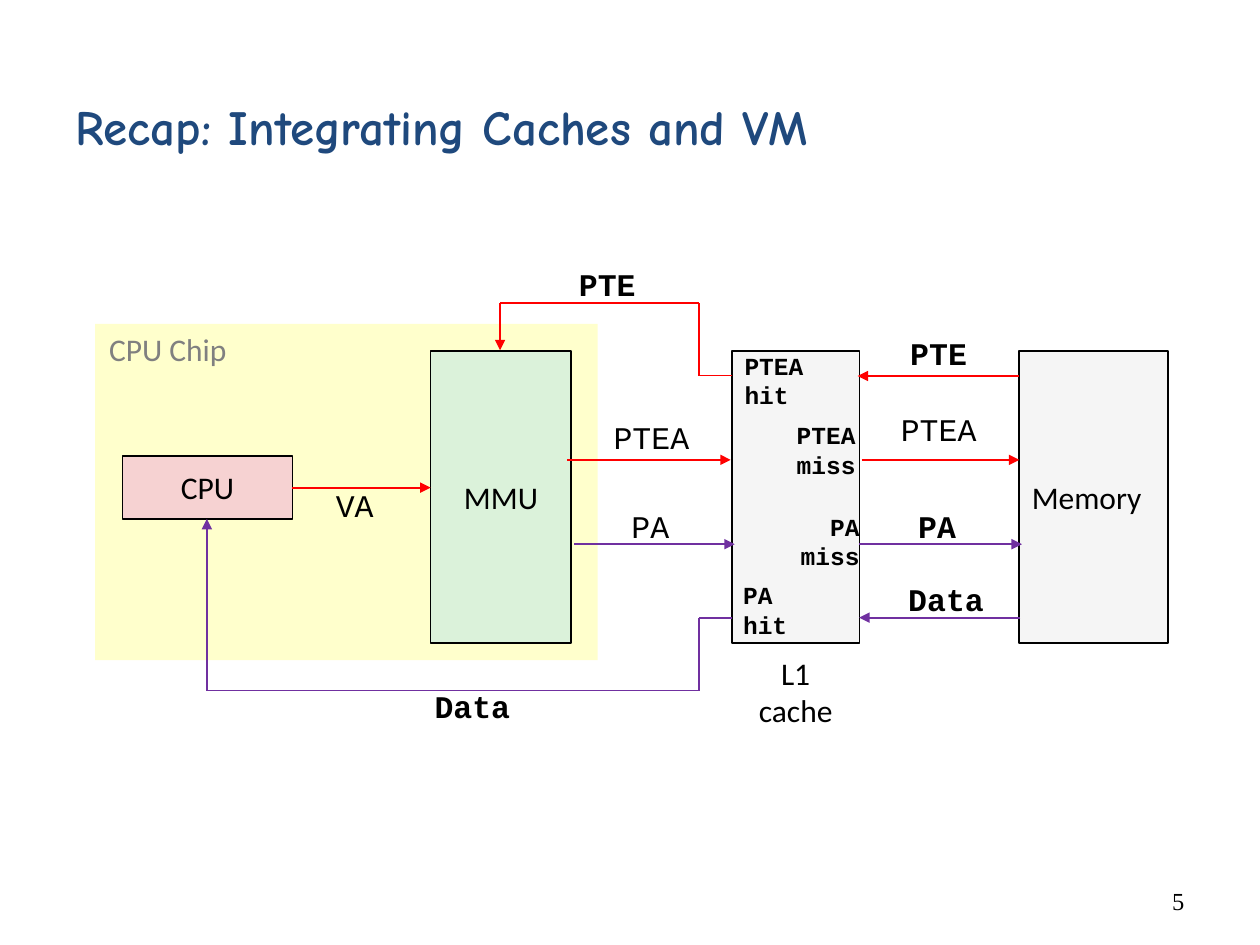
from dataclasses import dataclass
from itertools import pairwise

from lxml.etree import SubElement
from pptx import Presentation
from pptx.dml.color import RGBColor
from pptx.enum.shapes import MSO_CONNECTOR as Connector, MSO_SHAPE as Shape
from pptx.enum.text import MSO_ANCHOR as Anchor, MSO_AUTO_SIZE as AutoSize, PP_ALIGN as Align
from pptx.oxml.ns import qn
from pptx.util import Cm, Pt


@dataclass(frozen=True)
class Theme:
    ink: str = "000000"
    title: str = "1F497D"
    chip: str = "FFFFCC"
    chip_label: str = "808080"
    cpu: str = "F6D2D2"
    mmu: str = "DBF2DA"
    storage: str = "F5F5F5"
    table_walk: str = "FF0000"
    data_access: str = "7030A0"
    title_font: str = "Comic Neue"
    body_font: str = "Calibri"
    code_font: str = "Courier New"
    number_font: str = "Times New Roman"
    title_size: int = 28
    body_size: int = 18
    small_size: int = 14


@dataclass(frozen=True)
class Box:
    left: float
    top: float
    width: float
    height: float

    def inner(self, left, top, width, height):
        return Box(self.left + left, self.top + top, width, height)

    def point(self, x, y):
        return self.left + x, self.top + y

    def lengths(self):
        return [Cm(side) for side in (self.left, self.top, self.width, self.height)]


THEME = Theme()


def write(holder, text, font=THEME.body_font, size=THEME.body_size, color=THEME.ink,
          bold=False, align=Align.LEFT, anchor=Anchor.MIDDLE, wrap=False, grow=False,
          insets=(0.25, 0.13), spacing=None):
    frame = holder.text_frame
    frame.text = text
    frame.word_wrap = wrap
    frame.auto_size = AutoSize.SHAPE_TO_FIT_TEXT if grow else AutoSize.NONE
    frame.vertical_anchor = anchor
    frame.margin_left = frame.margin_right = Cm(insets[0])
    frame.margin_top = frame.margin_bottom = Cm(insets[1])
    for paragraph in frame.paragraphs:
        paragraph.alignment = align
        paragraph.line_spacing = spacing
        paragraph.font.name = font
        paragraph.font.size = Pt(size)
        paragraph.font.bold = bold
        paragraph.font.color.rgb = RGBColor.from_string(color)


def add_label(slide, box, text, **style):
    write(slide.shapes.add_textbox(*box.lengths()), text, **{"grow": True, **style})


def add_request(slide, box, text):
    add_label(slide, box, text, font=THEME.code_font, anchor=Anchor.TOP,
              insets=(0.18, 0.08), spacing=0.85)


def add_result(slide, box, text, **style):
    add_label(slide, box, text, font=THEME.code_font, bold=True, **style)


def add_block(slide, box, fill, text="", outlined=True, align=Align.CENTER):
    block = slide.shapes.add_shape(Shape.RECTANGLE, *box.lengths())
    block.shadow.inherit = False
    block.fill.solid()
    block.fill.fore_color.rgb = RGBColor.from_string(fill)
    if outlined:
        block.line.color.rgb = RGBColor.from_string(THEME.ink)
        block.line.width = Pt(1)
    else:
        block.line.fill.background()
    if text:
        write(block, text, align=align)


def add_route(slide, box, color, *stops):
    segments = list(pairwise(box.point(*stop) for stop in stops))
    for start, end in segments:
        segment = slide.shapes.add_connector(
            Connector.STRAIGHT, *(Cm(length) for length in (*start, *end)))
        segment.line.color.rgb = RGBColor.from_string(color)
        segment.line.width = Pt(1.1)
        properties = segment._element.spPr
        SubElement(properties, qn("a:effectLst"))
        if (start, end) == segments[-1]:
            SubElement(properties.find(qn("a:ln")), qn("a:tailEnd"), type="triangle")


def place_title(slide, box):
    title = slide.shapes.title
    title.left, title.top, title.width, title.height = box.lengths()
    write(title, "Recap: Integrating Caches and VM", font=THEME.title_font,
          size=THEME.title_size, color=THEME.title, bold=True, wrap=True)


def place_cpu_chip(slide, box):
    add_block(slide, box, THEME.chip, outlined=False)
    add_label(slide, box.inner(0.03, 0, 3.48, 1.12), "CPU Chip", color=THEME.chip_label,
              anchor=Anchor.TOP)
    add_block(slide, box.inner(0.55, 2.66, 3.43, 1.27), THEME.cpu, "CPU")
    add_block(slide, box.inner(6.76, 0.54, 2.84, 5.89), THEME.mmu, "MMU")
    add_route(slide, box, THEME.table_walk, (3.97, 3.3), (6.76, 3.3))
    add_request(slide, box.inner(4.67, 3.3, 1.18, 0.79), "VA")


def place_cache(slide, box):
    add_block(slide, box, THEME.storage)
    outcomes = (
        ("PTEA\nhit", 0, -0.13, 2.01, Align.LEFT),
        ("PTEA\nmiss", 1.04, 1.27, 1.7, Align.RIGHT),
        ("PA\nmiss", 1.12, 3.12, 1.7, Align.RIGHT),
        ("PA\nhit", -0.03, 4.5, 1.4, Align.LEFT),
    )
    for text, left, top, width, align in outcomes:
        add_result(slide, box.inner(left, top, width, 1.45), text,
                   size=THEME.small_size, align=align)
    add_label(slide, box.inner(0.15, 5.97, 2.26, 1.8), "L1\ncache", align=Align.CENTER)


def place_memory(slide, box):
    add_block(slide, box, THEME.storage, "Memory", align=Align.LEFT)


def place_mmu_requests(slide, box):
    add_route(slide, box, THEME.table_walk, (0, 2.2), (3.3, 2.2))
    add_request(slide, box.inner(0.76, 1.4, 1.94, 0.79), "PTEA")
    add_route(slide, box, THEME.data_access, (0.15, 3.9), (3.38, 3.9))
    add_request(slide, box.inner(1.12, 3.18, 1.18, 0.79), "PA")


def place_memory_traffic(slide, box):
    add_route(slide, box, THEME.table_walk, (3.23, 0.51), (-0.03, 0.51))
    add_result(slide, box.inner(0.78, -0.46, 1.65, 1.02), "PTE")
    add_route(slide, box, THEME.table_walk, (0.05, 2.2), (3.23, 2.2))
    add_request(slide, box.inner(0.66, 1.24, 1.94, 0.79), "PTEA")
    add_route(slide, box, THEME.data_access, (0, 3.9), (3.28, 3.9))
    add_result(slide, box.inner(0.94, 3.02, 1.3, 1.02), "PA")
    add_route(slide, box, THEME.data_access, (3.25, 5.38), (0, 5.38))
    add_result(slide, box.inner(0.74, 4.5, 2.06, 1.02), "Data")


def place_hit_returns(slide, box):
    right, bend, bottom = box.width, box.width - 0.67, box.height
    add_route(slide, box, THEME.table_walk, (right, 1.47), (bend, 1.47),
              (bend, 0), (5.91, 0), (5.91, 0.96))
    add_result(slide, box.inner(7.25, -0.89, 1.65, 1.02), "PTE")
    add_route(slide, box, THEME.data_access, (right, bottom - 1.47), (bend, bottom - 1.47),
              (bend, bottom), (0, bottom), (0, 4.36))
    add_result(slide, box.inner(4.34, bottom - 0.2, 2.06, 1.02), "Data")


def place_page_number(slide, box):
    add_label(slide, box, "5", font=THEME.number_font, size=THEME.small_size,
              align=Align.RIGHT, wrap=True, grow=False)


def main():
    deck = Presentation()
    deck.slide_width, deck.slide_height = Cm(25.4), Cm(19.05)
    slide = deck.slides.add_slide(deck.slide_layouts.get_by_name("Title Only"))
    place_title(slide, Box(1.27, 1.27, 22.43, 2.54))
    place_cpu_chip(slide, Box(1.92, 6.53, 10.13, 6.78))
    place_cache(slide, Box(14.76, 7.07, 2.57, 5.89))
    place_memory(slide, Box(20.55, 7.07, 2.99, 5.89))
    place_mmu_requests(slide, Box(11.43, 7.07, 3.3, 5.89))
    place_memory_traffic(slide, Box(17.32, 7.07, 3.23, 5.89))
    place_hit_returns(slide, Box(4.17, 6.1, 10.59, 7.82))
    place_page_number(slide, Box(18.21, 17.65, 5.92, 1.02))
    deck.save("out.pptx")


if __name__ == "__main__":
    main()
